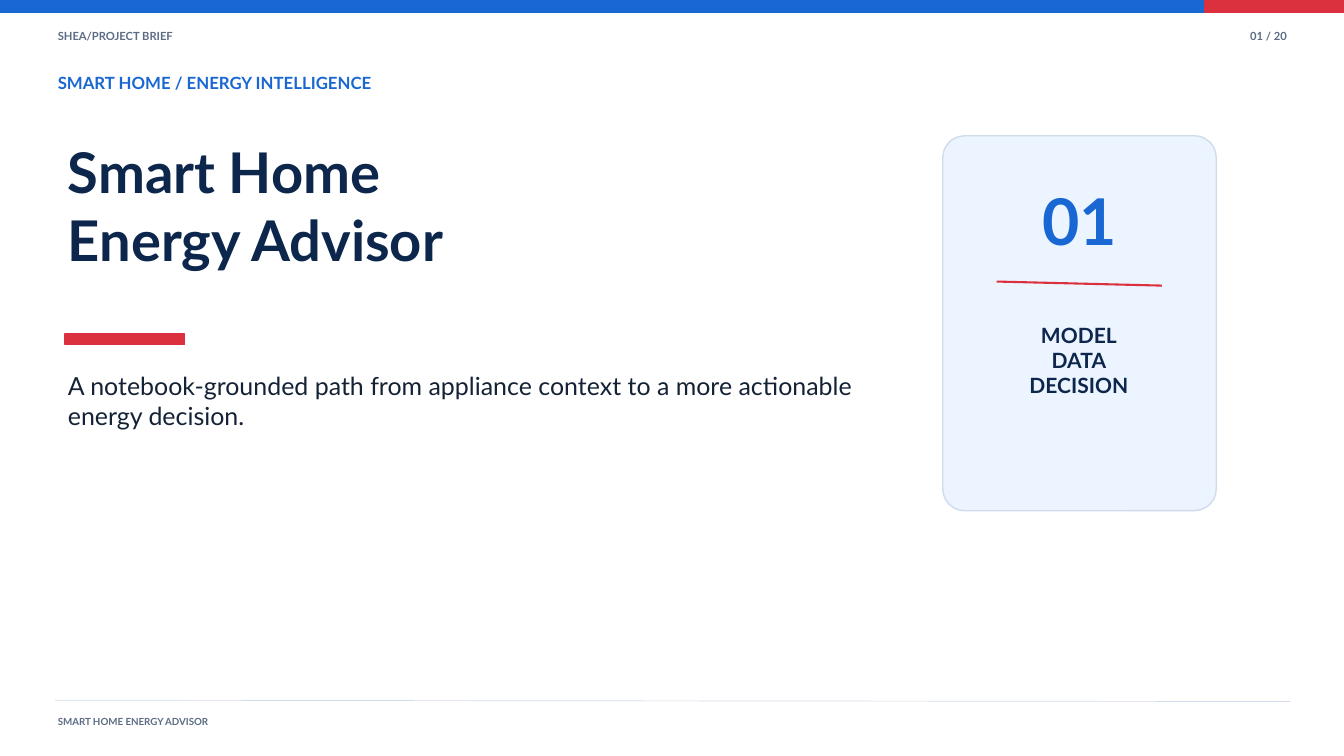
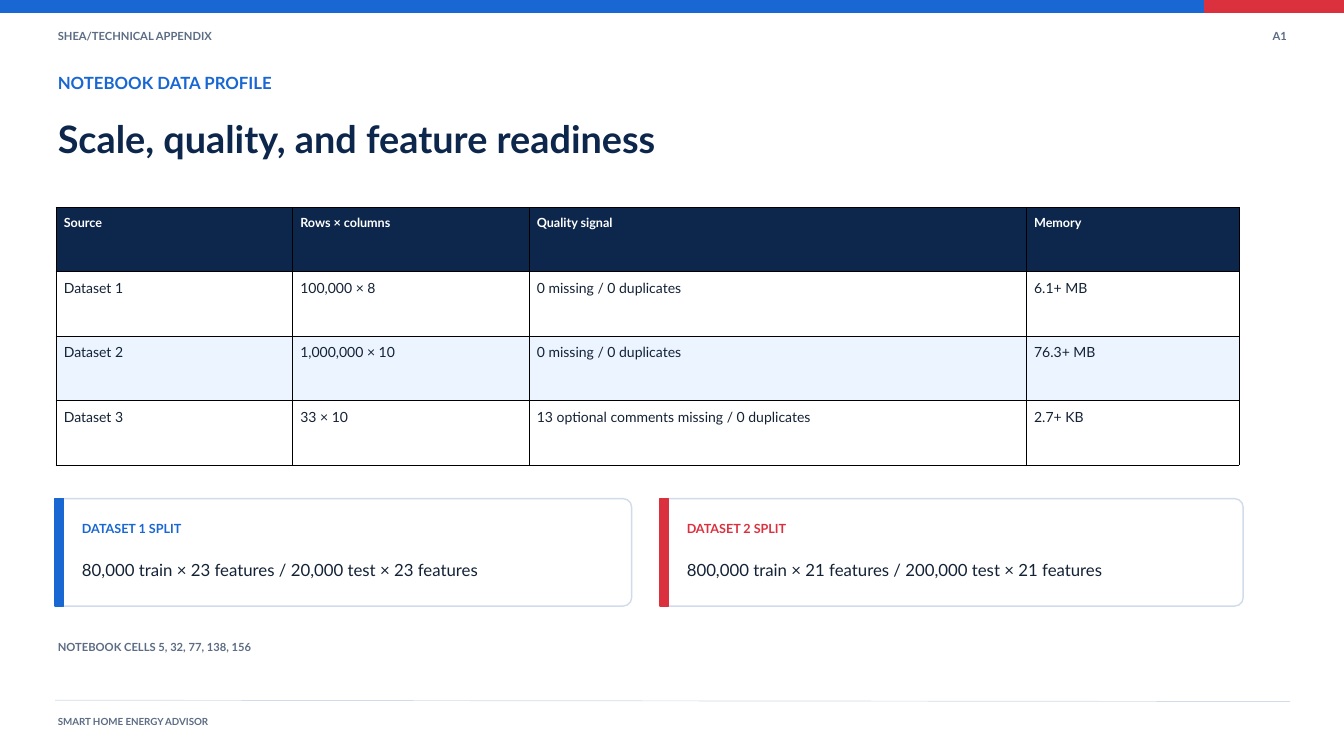
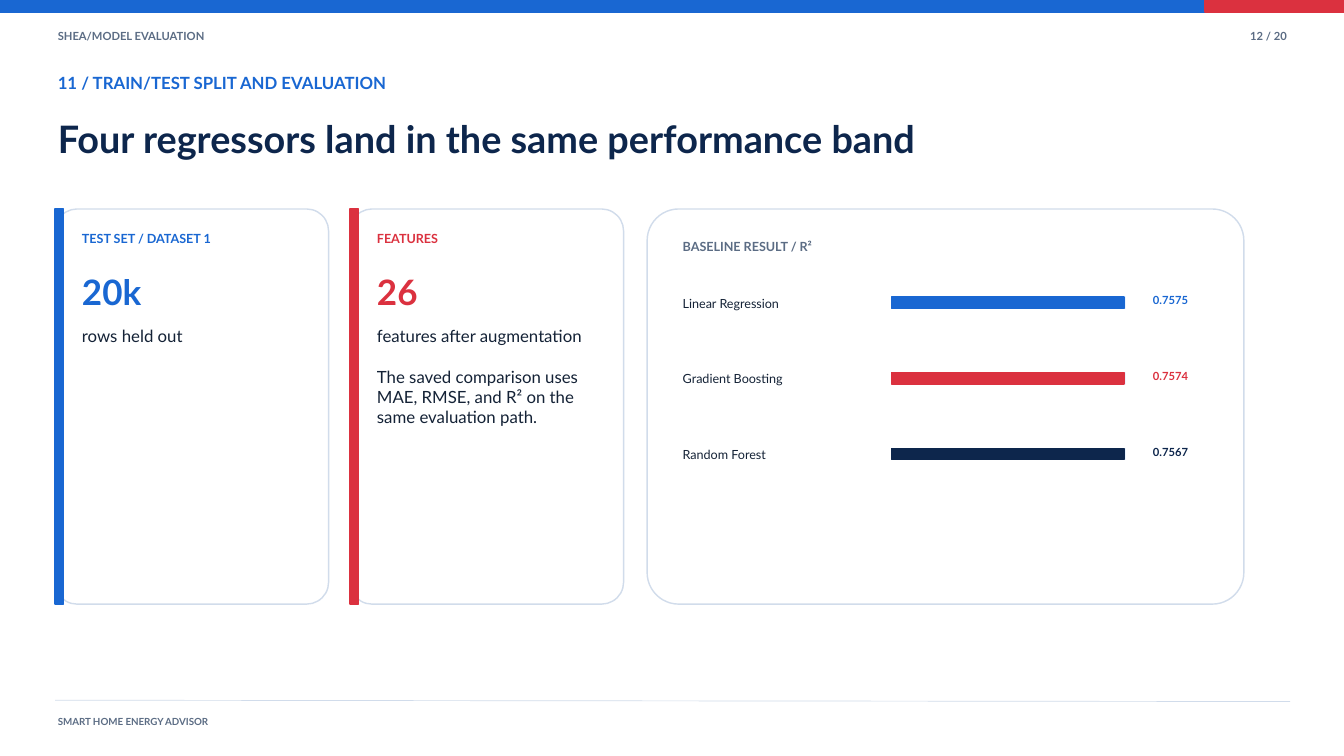
from dataclasses import dataclass

from lxml.etree import SubElement
from pptx import Presentation
from pptx.dml.color import RGBColor
from pptx.enum.shapes import MSO_CONNECTOR, MSO_SHAPE
from pptx.enum.text import MSO_AUTO_SIZE, PP_ALIGN
from pptx.oxml.ns import qn
from pptx.presentation import Presentation as Deck
from pptx.slide import Slide
from pptx.table import _Cell
from pptx.text.text import _Paragraph
from pptx.util import Inches, Pt

BLUE = RGBColor(0x19, 0x67, 0xD2)
RED = RGBColor(0xDB, 0x31, 0x3F)
NAVY = RGBColor(0x0D, 0x26, 0x4C)
INK = RGBColor(0x14, 0x22, 0x36)
GRAY = RGBColor(0x5B, 0x6C, 0x84)
RULE = RGBColor(0xD1, 0xDC, 0xEB)
PALE = RGBColor(0xEB, 0xF4, 0xFF)
WHITE = RGBColor(0xFF, 0xFF, 0xFF)
FONT = "Lato"
LINE_HEIGHT = 1.2
CORNER = 0.08
LEFT = 0.82
TEXT_LEFT = 0.86
ACCENT_WIDTH = 0.13


@dataclass(frozen=True)
class Box:
    x: float
    y: float
    w: float
    h: float


@dataclass(frozen=True)
class Style:
    size: float
    color: RGBColor
    bold: bool = False
    align: PP_ALIGN = PP_ALIGN.LEFT


@dataclass(frozen=True)
class Header:
    section: str
    page: str
    kicker: str
    title: str = ""


@dataclass(frozen=True)
class Card:
    box: Box
    color: RGBColor
    label: str
    body: tuple[str, ...]
    value: str = ""


@dataclass(frozen=True)
class Score:
    model: str
    r2: float
    color: RGBColor


SMALL = Style(12, GRAY, True)
SMALL_RIGHT = Style(12, GRAY, True, PP_ALIGN.RIGHT)
KICKER = Style(18, BLUE, True)
TITLE = Style(40.5, NAVY, True)
FOOTER = Style(10.5, GRAY, True)
BODY = Style(18, INK)
TABLE_HEAD = Style(13.5, WHITE, True)
TABLE_BODY = Style(15, INK)

TABLE_COLUMNS = (3.52, 3.52, 7.4, 3.17)
TABLE_ROW_HEIGHT = 0.96
TABLE_ROWS = (
    ("Source", "Rows × columns", "Quality signal", "Memory"),
    ("Dataset 1", "100,000 × 8", "0 missing / 0 duplicates", "6.1+ MB"),
    ("Dataset 2", "1,000,000 × 10", "0 missing / 0 duplicates", "76.3+ MB"),
    ("Dataset 3", "33 × 10", "13 optional comments missing / 0 duplicates", "2.7+ KB"),
)
SPLIT_CARDS = (
    Card(Box(LEFT, 7.42, 8.58, 1.6), BLUE, "DATASET 1 SPLIT",
         ("80,000 train × 23 features / 20,000 test × 23 features",)),
    Card(Box(9.82, 7.42, 8.68, 1.6), RED, "DATASET 2 SPLIT",
         ("800,000 train × 21 features / 200,000 test × 21 features",)),
)
METRIC_CARDS = (
    Card(Box(LEFT, 3.11, 4.07, 5.88), BLUE, "TEST SET / DATASET 1",
         ("rows held out",), "20k"),
    Card(Box(5.21, 3.11, 4.07, 5.88), RED, "FEATURES",
         ("features after augmentation",
          "The saved comparison uses MAE, RMSE, and R² on the same evaluation path."), "26"),
)
SCORES = (
    Score("Linear Regression", 0.7575, BLUE),
    Score("Gradient Boosting", 0.7574, RED),
    Score("Random Forest", 0.7567, NAVY),
)
SCORE_TOP = 4.4
SCORE_STEP = 1.125
TRACK_WIDTH = 3.47
FULL_BAR = 3.46


def format_paragraph(p: _Paragraph, style: Style) -> None:
    p.alignment = style.align
    p.line_spacing = Pt(round(style.size * LINE_HEIGHT, 1))
    for r in p.runs:
        r.font.name = FONT
        r.font.size = Pt(style.size)
        r.font.bold = style.bold
        r.font.color.rgb = style.color


def add_text(s: Slide, box: Box, lines: str | tuple[str, ...], style: Style,
             gap: float = 0) -> None:
    tb = s.shapes.add_textbox(Inches(box.x), Inches(box.y), Inches(box.w), Inches(box.h))
    tf = tb.text_frame
    tf.margin_left = tf.margin_right = tf.margin_top = tf.margin_bottom = 0
    tf.word_wrap = True
    tf.auto_size = MSO_AUTO_SIZE.SHAPE_TO_FIT_TEXT
    tf.text = lines if isinstance(lines, str) else "\n".join(lines)
    for i, p in enumerate(tf.paragraphs):
        format_paragraph(p, style)
        if i and gap:
            p.space_before = Pt(gap)


def add_block(s: Slide, box: Box, fill: RGBColor, line: RGBColor | None = None,
              rounded: bool = False) -> None:
    kind = MSO_SHAPE.ROUNDED_RECTANGLE if rounded else MSO_SHAPE.RECTANGLE
    sp = s.shapes.add_shape(kind, Inches(box.x), Inches(box.y), Inches(box.w), Inches(box.h))
    if rounded:
        sp.adjustments[0] = CORNER
    sp.shadow.inherit = False
    sp.fill.solid()
    sp.fill.fore_color.rgb = fill
    sp.line.color.rgb = line or fill
    sp.line.width = Pt(1.5)


def add_rule(s: Slide, x1: float, y1: float, x2: float, y2: float,
             color: RGBColor, width: float) -> None:
    cn = s.shapes.add_connector(MSO_CONNECTOR.STRAIGHT, Inches(x1), Inches(y1),
                                Inches(x2), Inches(y2))
    cn.line.color.rgb = color
    cn.line.width = Pt(width)
    SubElement(cn._element.spPr, qn("a:effectLst"))


def add_slide(prs: Deck, header: Header) -> Slide:
    s = prs.slides.add_slide(prs.slide_layouts[6])
    add_block(s, Box(-0.01, -0.01, 20.04, 0.19), BLUE)
    add_block(s, Box(17.93, -0.01, 2.1, 0.19), RED)
    add_text(s, Box(TEXT_LEFT, 0.44, 11.95, 0.3), header.section, SMALL)
    add_text(s, Box(17.71, 0.44, 1.44, 0.3), header.page, SMALL_RIGHT)
    add_text(s, Box(TEXT_LEFT, 1.08, 18.03, 0.47), header.kicker, KICKER)
    if header.title:
        add_text(s, Box(TEXT_LEFT, 1.72, 18.03, 1.16), header.title, TITLE)
    add_rule(s, LEFT, 10.42, 19.2, 10.44, RULE, 0.75)
    add_text(s, Box(TEXT_LEFT, 10.65, 5.94, 0.22), "SMART HOME ENERGY ADVISOR", FOOTER)
    return s


def add_card(s: Slide, card: Card) -> None:
    box = card.box
    x, w = box.x + 0.4, box.w - 0.71
    add_block(s, box, WHITE, RULE, rounded=True)
    add_block(s, Box(box.x, box.y, ACCENT_WIDTH, box.h), card.color)
    add_text(s, Box(x, box.y + 0.33, w, 0.28), card.label, Style(13.5, card.color, True))
    body_top = box.y + 0.91
    if card.value:
        add_text(s, Box(x, body_top, w, 0.66), card.value, Style(37.5, card.color, True))
        body_top += 0.83
    body_height = box.y + box.h - 0.31 - body_top
    add_text(s, Box(x, body_top, w, body_height), card.body, BODY, gap=21.6)


def add_borders(cell: _Cell) -> None:
    tc_pr = cell._tc.get_or_add_tcPr()
    for side in ("a:lnL", "a:lnR", "a:lnT", "a:lnB"):
        ln = SubElement(tc_pr, qn(side), w=str(Pt(0.37)))
        SubElement(SubElement(ln, qn("a:solidFill")), qn("a:srgbClr"), val="000000")


def add_profile_table(s: Slide) -> None:
    frame = s.shapes.add_table(len(TABLE_ROWS), len(TABLE_COLUMNS), Inches(0.83), Inches(3.08),
                               Inches(sum(TABLE_COLUMNS)),
                               Inches(TABLE_ROW_HEIGHT * len(TABLE_ROWS)))
    table = frame.table
    for column, width in zip(table.columns, TABLE_COLUMNS):
        column.width = Inches(width)
    for i, values in enumerate(TABLE_ROWS):
        fill = NAVY if i == 0 else PALE if i % 2 == 0 else WHITE
        for j, value in enumerate(values):
            cell = table.cell(i, j)
            cell.text = value
            cell.margin_left = cell.margin_right = Inches(0.12)
            cell.margin_top = cell.margin_bottom = Inches(0.12)
            add_borders(cell)
            cell.fill.solid()
            cell.fill.fore_color.rgb = fill
            format_paragraph(cell.text_frame.paragraphs[0], TABLE_BODY if i else TABLE_HEAD)


def add_scores(s: Slide) -> None:
    add_block(s, Box(9.63, 3.11, 8.88, 5.88), WHITE, RULE, rounded=True)
    add_text(s, Box(10.16, 3.55, 4.44, 0.25), "BASELINE RESULT / R²", Style(13.5, GRAY, True))
    best = max(score.r2 for score in SCORES)
    for i, score in enumerate(SCORES):
        y = SCORE_TOP + i * SCORE_STEP
        add_text(s, Box(10.16, y, 3.09, 0.28), score.model, Style(13.5, INK))
        add_block(s, Box(13.27, y + 0.02, TRACK_WIDTH, 0.17), PALE)
        add_block(s, Box(13.27, y + 0.02, FULL_BAR * score.r2 / best, 0.17), score.color)
        add_text(s, Box(16.81, y - 0.03, 0.87, 0.24), f"{score.r2:.4f}",
                 Style(12, score.color, True, PP_ALIGN.RIGHT))


def build_cover(prs: Deck) -> None:
    s = add_slide(prs, Header("SHEA/PROJECT BRIEF", "01 / 20", "SMART HOME / ENERGY INTELLIGENCE"))
    add_text(s, Box(1.01, 2.05, 12.78, 2.53), ("Smart Home", "Energy Advisor"),
             Style(60.1, NAVY, True))
    add_block(s, Box(0.97, 4.97, 1.78, 0.16), RED)
    add_text(s, Box(1.01, 5.51, 11.95, 1.02),
             "A notebook-grounded path from appliance context to a more actionable energy decision.",
             Style(26.7, INK))
    add_block(s, Box(14.03, 2.02, 4.07, 5.58), PALE, RULE, rounded=True)
    add_text(s, Box(14.67, 2.7, 2.79, 1.14), "01", Style(69, BLUE, True, PP_ALIGN.CENTER))
    add_rule(s, 14.83, 4.19, 17.29, 4.25, RED, 2.25)
    add_text(s, Box(14.62, 4.8, 2.87, 1.59), ("MODEL", "DATA", "DECISION"),
             Style(22.5, NAVY, True, PP_ALIGN.CENTER))


def build_data_profile(prs: Deck) -> None:
    s = add_slide(prs, Header("SHEA/TECHNICAL APPENDIX", "A1", "NOTEBOOK DATA PROFILE",
                              "Scale, quality, and feature readiness"))
    add_profile_table(s)
    for card in SPLIT_CARDS:
        add_card(s, card)
    add_text(s, Box(TEXT_LEFT, 9.53, 11.95, 0.24), "NOTEBOOK CELLS 5, 32, 77, 138, 156", SMALL)


def build_evaluation(prs: Deck) -> None:
    s = add_slide(prs, Header("SHEA/MODEL EVALUATION", "12 / 20",
                              "11 / TRAIN/TEST SPLIT AND EVALUATION",
                              "Four regressors land in the same performance band"))
    for card in METRIC_CARDS:
        add_card(s, card)
    add_scores(s)


def main() -> None:
    prs = Presentation()
    prs.slide_width = Inches(20)
    prs.slide_height = Inches(11.25)
    build_cover(prs)
    build_data_profile(prs)
    build_evaluation(prs)
    prs.save("out.pptx")


if __name__ == "__main__":
    main()
